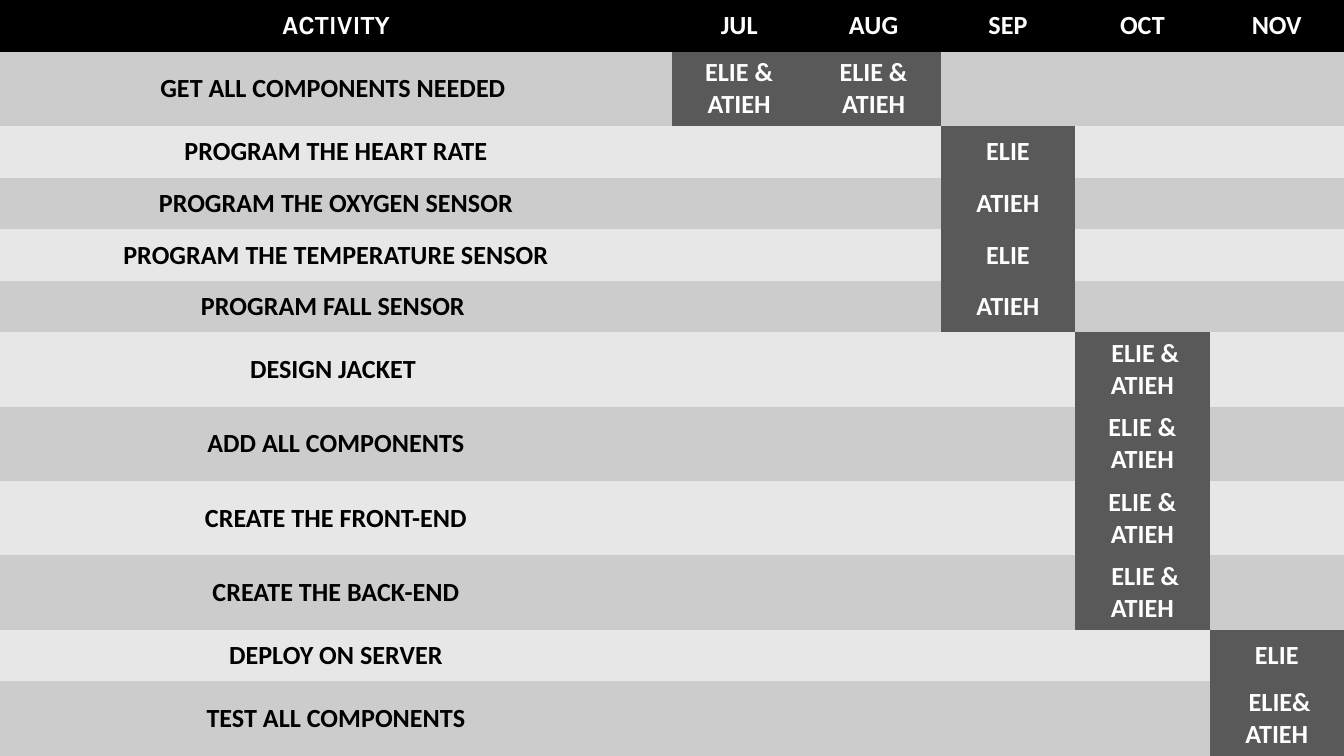
from pptx import Presentation
from pptx.dml.color import RGBColor as RGB
from pptx.enum.text import MSO_ANCHOR as Anchor, PP_ALIGN as Align
from pptx.oxml.ns import qn
from pptx.util import Inches, Pt

THEME = {
    "head": "000000", "busy": "595959", "bands": ("CCCCCC", "E7E7E7"),
    "light": "FFFFFF", "dark": "000000",
    "size": 14, "font": "Calibri", "head_font": "Karla",
}
NO_STYLE = "{2D5ABB26-0587-4C30-8999-92F81FD0307C}"

MONTHS = ["JUL", "AUG", "SEP", "OCT", "NOV"]
BOTH = "ELIE &\nATIEH"
# Activity, who does it, months it takes
TASKS = [
    ("GET ALL COMPONENTS NEEDED ", BOTH, ("JUL", "AUG")),
    ("PROGRAM THE HEART RATE", "ELIE", ("SEP",)),
    ("PROGRAM THE OXYGEN SENSOR", "ATIEH", ("SEP",)),
    ("PROGRAM THE TEMPERATURE SENSOR", "ELIE", ("SEP",)),
    ("PROGRAM FALL SENSOR ", "ATIEH", ("SEP",)),
    ("DESIGN JACKET ", " " + BOTH, ("OCT",)),
    ("ADD ALL COMPONENTS", BOTH, ("OCT",)),
    ("CREATE THE FRONT-END", BOTH, ("OCT",)),
    ("CREATE THE BACK-END", " " + BOTH, ("OCT",)),
    ("DEPLOY ON SERVER", "ELIE", ("NOV",)),
    ("TEST ALL COMPONENTS", " ELIE&\nATIEH", ("NOV",)),
]


def write(cell, text, fill, color=THEME["light"], font=THEME["font"]):
    cell.fill.solid()
    cell.fill.fore_color.rgb = RGB.from_string(fill)
    cell.vertical_anchor = Anchor.MIDDLE
    cell.margin_left = cell.margin_right = Inches(0.07)
    cell.margin_top = cell.margin_bottom = 0
    tf = cell.text_frame
    tf.text = text
    for p in tf.paragraphs:
        p.alignment = Align.CENTER
        p.font.size = Pt(THEME["size"])
        for r in p.runs:
            r.font.size = Pt(THEME["size"])
            r.font.name = font
            r.font.bold = True
            r.font.color.rgb = RGB.from_string(color)


# Slide, 16:9
prs = Presentation()
prs.slide_width = Inches(10)
prs.slide_height = prs.slide_width * 9 // 16
W, H = prs.slide_width, prs.slide_height
s = prs.slides.add_slide(prs.slide_layouts[6])

# Schedule table over the whole slide, without style or grid lines
table = s.shapes.add_table(len(TASKS) + 1, len(MONTHS) + 1, 0, 0, W, H).table
table.first_row = table.horz_banding = False
table._tbl.tblPr.find(qn("a:tableStyleId")).text = NO_STYLE

# Activity takes half the width, the months share the rest
table.columns[0].width = W // 2
for i in range(len(MONTHS)):
    table.columns[i + 1].width = W // 2 // len(MONTHS)

# Six one-line rows and six two-line rows fill the height
one_line = int(H / 6 * 0.41)
two_lines = H // 6 - one_line
table.rows[0].height = one_line

# Header row
write(table.cell(0, 0), "ACTIVITY", THEME["head"], font=THEME["head_font"])
for col, month in enumerate(MONTHS, 1):
    write(table.cell(0, col), month, THEME["head"])

# Task rows, with the busy months filled in
for row, (task, who, when) in enumerate(TASKS, 1):
    band = THEME["bands"][(row - 1) % 2]
    table.rows[row].height = two_lines if "\n" in who else one_line
    write(table.cell(row, 0), task, band, color=THEME["dark"])
    for col, month in enumerate(MONTHS, 1):
        busy = month in when
        write(table.cell(row, col), who if busy else "", THEME["busy"] if busy else band)

prs.save("out.pptx")
